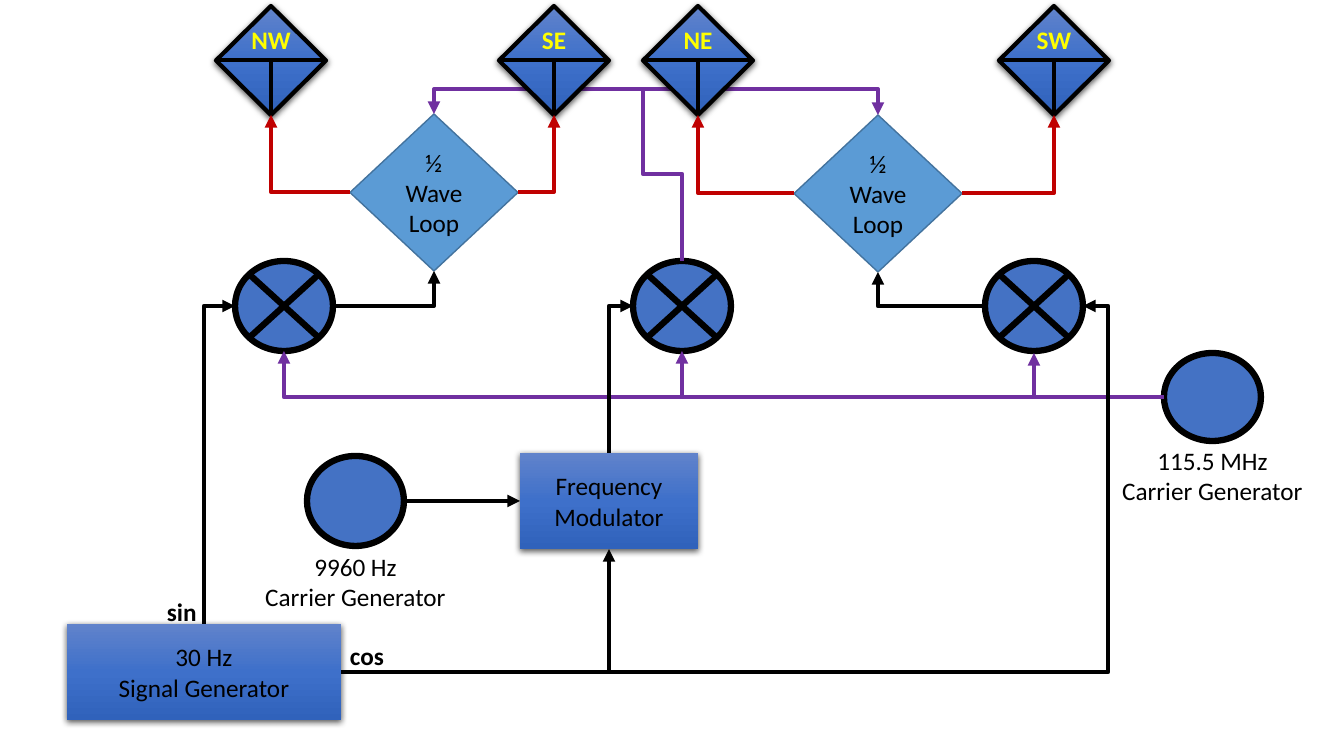
from dataclasses import dataclass
from lxml import etree
from pptx import Presentation
from pptx import util as u
from pptx.dml.color import RGBColor
from pptx.enum import shapes, text
from pptx.oxml import parse_xml
from pptx.oxml.ns import nsdecls, qn


@dataclass(frozen=True)
class Theme:
    black: str = "000000"
    blue: str = "4472C4"
    sky: str = "5B9BD5"
    rim: str = "43739E"
    grad: tuple = ((0, "6183CB"), (50, "3E70CA"), (100, "3062BB"))
    purple: str = "7030A0"
    red: str = "C00000"
    yellow: str = "FFFF00"
    font: str = "Calibri"
    size: int = 18
    wire: float = 3
    thin: float = 2.25
    thick: float = 4.5


T = Theme()

# Content: lengths in px
BOXES = [  # name, lines, place
    ("signal", ["30 Hz", "Signal Generator"], (67, 624, 274, 96)),
    ("modulator", ["Frequency", "Modulator"], (520, 453, 178, 96)),
]
MIXERS = [284, 682, 1034]  # centres
MIX_Y, MIX_W, MIX_H = 306, 98, 90
SOURCES = [(1164, 353, 97, 88), (307, 456, 97, 90)]
LOOPS = [(350, 114), (794, 115)]
LOOP_W, LOOP_H = 168, 157
ANTENNAS = [("NW", 271), ("SE", 554), ("NE", 698), ("SW", 1054)]
ANT_Y, ANT_W, ANT_H = 6, 110, 109
NOTES = [  # lines, place, format
    (["115.5 MHz", "Carrier Generator"], (1109, 440, 207, 70), {}),
    (["9960 Hz", "Carrier Generator"], (252, 546, 207, 70), {}),
    (["cos"], (340, 635, 54, 40), dict(bold=True, left=True, wrap=False)),
    (["sin"], (157, 591, 50, 40), dict(bold=True, left=True, wrap=False)),
]
WIRES = [  # colour, arrowheads, corner points
    (T.black, "tail", [(341, 672), (609, 672), (609, 549)]),
    (T.purple, "tail", [(1164, 397), (284, 397), (284, 351)]),
    (T.purple, "tail", [(682, 397), (682, 351)]),
    (T.purple, "tail", [(1034, 399), (1034, 353)]),
    (T.black, "tail", [(609, 453), (609, 306), (633, 306)]),
    (T.black, "tail", [(609, 672), (1108, 672), (1108, 306), (1083, 306)]),
    (T.black, "tail", [(204, 624), (204, 306), (235, 306)]),
    (T.purple, "head tail", [(434, 114), (434, 89), (878, 89), (878, 115)]),
    (T.purple, "", [(682, 261), (682, 174), (643, 174), (643, 88)]),
]
FEEDS = [
    (T.red, "tail", [(350, 192), (271, 192), (271, 115)]),
    (T.red, "tail", [(962, 193), (1054, 193), (1054, 115)]),
    (T.red, "tail", [(518, 192), (554, 192), (554, 115)]),
    (T.red, "tail", [(794, 193), (698, 193), (698, 115)]),
    (T.black, "tail", [(333, 306), (434, 306), (434, 271)]),
    (T.black, "tail", [(985, 306), (878, 306), (878, 272)]),
]

# Slide
SCALE = 914400 / 100.8


def px(n):
    return u.Emu(round(n * SCALE))


deck = Presentation()
deck.slide_width, deck.slide_height = px(1344), px(756)
slide = deck.slides.add_slide(deck.slide_layouts[6])
art = slide.shapes


def rgb(code):
    return RGBColor.from_string(code)


def write(shape, lines, color=T.black, bold=False, left=False, wrap=True,
          mid=False):
    frame = shape.text_frame
    frame.word_wrap = wrap
    frame.vertical_anchor = (text.MSO_ANCHOR.MIDDLE if mid
                             else text.MSO_ANCHOR.TOP)
    for i, line in enumerate(lines):
        para = frame.paragraphs[0] if i == 0 else frame.add_paragraph()
        para.alignment = text.PP_ALIGN.LEFT if left else text.PP_ALIGN.CENTER
        run = para.add_run()
        run.text = line
        font = run.font
        font.name, font.size, font.bold = T.font, u.Pt(T.size), bold
        font.color.rgb = rgb(color)


def label(place, lines, **form):
    write(art.add_textbox(*map(px, place)), lines, **form)


def draw(kind, place, fill, line=None, width=0):
    shape = art.add_shape(kind, *map(px, place))
    shape.shadow.inherit = False
    if isinstance(fill, str):
        shape.fill.solid()
        shape.fill.fore_color.rgb = rgb(fill)
    else:
        shade(shape, fill)
    if line:
        shape.line.color.rgb = rgb(line)
        shape.line.width = u.Pt(width)
    else:
        shape.line.fill.background()
    return shape


def shade(shape, stops):
    """Three-stop gradient running down, with a soft shadow below."""
    shape.fill.gradient()
    shape.fill.gradient_angle = 270
    props = shape._element.spPr
    items = props.find(qn("a:gradFill")).find(qn("a:gsLst"))
    for item in list(items):
        items.remove(item)
    for pos, code in stops:
        items.append(parse_xml(
            f'<a:gs {nsdecls("a")} pos="{pos * 1000}">'
            f'<a:srgbClr val="{code}"/></a:gs>'))
    props.find(qn("a:effectLst")).append(parse_xml(
        f'<a:outerShdw {nsdecls("a")} blurRad="57150" dist="19050" '
        f'dir="5400000" algn="ctr" rotWithShape="0"><a:srgbClr val="{T.black}">'
        '<a:alpha val="63000"/></a:srgbClr></a:outerShdw>'))


def wire(color, heads, pts, width=T.wire):
    """Straight for 2 points, one corner for 3, two corners for 4."""
    ends = heads.split()
    upright = pts[0][0] == pts[1][0]
    if len(pts) == 3 and upright:  # this preset starts sideways
        pts = pts[::-1]
        ends = ["head" if e == "tail" else "tail" for e in ends]
    (x1, y1), (x2, y2) = pts[0], pts[-1]
    turn = len(pts) == 4 and upright
    a, b = (x1, y1), (x2, y2)
    if turn:  # lay the route on its side, then rotate it back
        cx, cy = (x1 + x2) / 2, (y1 + y2) / 2
        a, b = [(cx - (y - cy), cy + (x - cx)) for x, y in (a, b)]
    kind = shapes.MSO_CONNECTOR
    kind = kind.STRAIGHT if len(pts) == 2 else kind.ELBOW
    line = art.add_connector(kind, *map(px, a + b))
    if turn:
        line._element.spPr.find(qn("a:xfrm")).set("rot", "16200000")
    line.line.color.rgb = rgb(color)
    line.line.width = u.Pt(width)
    props = line._element.spPr
    geom = props.find(qn("a:prstGeom"))
    if len(pts) == 3:
        geom.set("prst", "bentConnector2")
    if len(pts) == 4:
        axis = 1 if upright else 0
        start, bend, stop = pts[0][axis], pts[1][axis], pts[-1][axis]
        ratio = round((bend - start) / (stop - start) * 100000)
        guide = etree.SubElement(geom.find(qn("a:avLst")), qn("a:gd"))
        guide.set("name", "adj1")
        guide.set("fmla", f"val {ratio}")
    for end in ("head", "tail"):
        if end in ends:
            tip = etree.SubElement(props.find(qn("a:ln")), qn(f"a:{end}End"))
            tip.set("type", "triangle")
    etree.SubElement(props, qn("a:effectLst"))
    return line


# Boxes, generators and mixers
KIND = shapes.MSO_SHAPE
boxes = {}
for name, lines, place in BOXES:
    boxes[name] = draw(KIND.RECTANGLE, place, T.grad)
    write(boxes[name], lines, mid=True)
for place in SOURCES:
    draw(KIND.OVAL, place, T.blue, T.black, T.thick)
for x in MIXERS:
    draw(KIND.OVAL, (x - MIX_W / 2, MIX_Y - MIX_H / 2, MIX_W, MIX_H),
         T.blue, T.black, T.thick)
    for dy in (-31, 31):
        wire(T.black, "", [(x - 34, MIX_Y + dy), (x + 34, MIX_Y - dy)],
             T.thick)
for lines, place, form in NOTES:
    label(place, lines, **form)

# Half-wave loops
for x, y in LOOPS:
    loop = draw(KIND.FLOWCHART_DECISION, (x, y, LOOP_W, LOOP_H),
                T.sky, T.rim, 1)
    write(loop, ["½ Wave Loop"], mid=True)

# Signal wires
for item in WIRES:
    wire(*item)
wire(T.black, "tail", [(404, 501), (520, 501)]).end_connect(
    boxes["modulator"], 1)

# Antennas
for name, x in ANTENNAS:
    left, mid = x - ANT_W / 2, ANT_Y + 54
    draw(KIND.FLOWCHART_DECISION, (left, ANT_Y, ANT_W, ANT_H),
         T.grad, T.black, T.wire)
    wire(T.black, "", [(left, mid), (left + ANT_W, mid)])
    wire(T.black, "", [(x, ANT_Y + ANT_H), (x, mid)], T.thin)
    label((x - 37, 19, 74, 40), [name], color=T.yellow, bold=True)

# Antenna feeds
for item in FEEDS:
    wire(*item)

deck.save("out.pptx")
